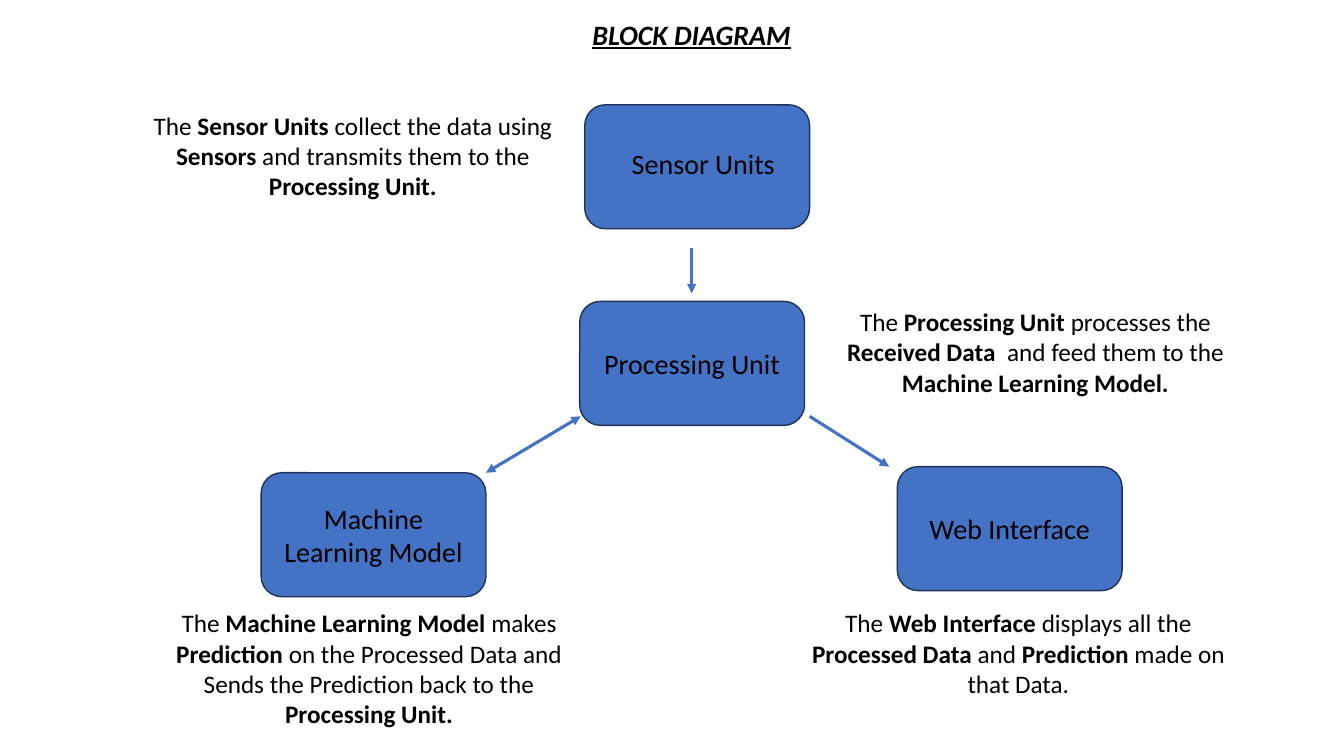
from dataclasses import dataclass

from lxml import etree
from pptx import Presentation
from pptx.dml.color import RGBColor
from pptx.enum.shapes import MSO_CONNECTOR, MSO_SHAPE
from pptx.enum.text import MSO_ANCHOR, MSO_AUTO_SIZE, PP_ALIGN
from pptx.oxml.ns import qn
from pptx.slide import Slide
from pptx.text.text import TextFrame
from pptx.util import Pt

ROUND = MSO_SHAPE.ROUNDED_RECTANGLE
STRAIGHT = MSO_CONNECTOR.STRAIGHT
CENTER = PP_ALIGN.CENTER
TOP, MIDDLE = MSO_ANCHOR.TOP, MSO_ANCHOR.MIDDLE
GROW = MSO_AUTO_SIZE.SHAPE_TO_FIT_TEXT

SCALE = 9144  # EMU per px, 100 px to the inch
FONT = "Calibri"
BLUE, NAVY, BLACK = "4472C4", "1E3256", "000000"
BOX_W, BOX_H = 223, 123
NOTE_W = 448


@dataclass
class Block:
    label: str
    left: int
    top: int
    right_by: int = 0  # label shift to the right
    up_by: int = 0  # label shift upwards


@dataclass
class Arrow:
    start: tuple[int, int]
    end: tuple[int, int]
    both: bool = False


@dataclass
class Note:
    text: str  # bold parts stand between asterisks
    left: int
    top: int
    height: int = 101


BLOCKS = [
    Block("Sensor Units", 580, 104, 6, 3),
    Block("Processing Unit", 575, 299),
    Block("Machine Learning Model", 259, 469),
    Block("Web Interface", 890, 463),
]
ARROWS = [
    Arrow((686, 246), (686, 291)),
    Arrow((482, 469), (576, 413), both=True),
    Arrow((803, 413), (882, 463)),
]
NOTES = [
    Note("The *Sensor Units *collect the data using *Sensors *and transmits "
         "them to the *Processing Unit.*", 126, 104),
    Note("The *Processing Unit *processes the *Received Data * and feed them "
         "to the *Machine Learning Model.*", 803, 299),
    Note("The *Web Interface *displays all the *Processed Data *and "
         "*Prediction *made on that Data.", 786, 598),
    Note("The *Machine Learning Model *makes *Prediction *on the Processed "
         "Data and Sends the Prediction back to the *Processing Unit.*",
         142, 598, 131),
]


def px(num: int) -> int:
    return num * SCALE


def color(code: str) -> RGBColor:
    return RGBColor.from_string(code)


def write(frame: TextFrame, text: str, size: int) -> None:
    """Write one centred paragraph, with bold parts between asterisks."""
    frame.word_wrap = True
    para = frame.paragraphs[0]
    para.alignment = CENTER
    para.font.name = FONT
    para.font.size = Pt(size)
    para.font.color.rgb = color(BLACK)
    for i, part in enumerate(text.split("*")):
        if part:
            run = para.add_run()
            run.text = part
            if i % 2:
                run.font.bold = True


def add_title(slide: Slide, text: str) -> None:
    title = slide.shapes.title
    title.left, title.top = px(161), px(12)
    title.width, title.height = px(1050), px(44)
    frame = title.text_frame
    write(frame, text, 20)
    frame.vertical_anchor = TOP
    frame.auto_size = GROW
    font = frame.paragraphs[0].font
    font.bold = font.italic = font.underline = True


def add_block(slide: Slide, block: Block) -> None:
    box = slide.shapes.add_shape(
        ROUND, px(block.left), px(block.top), px(BOX_W), px(BOX_H))
    box.shadow.inherit = False
    box.fill.solid()
    box.fill.fore_color.rgb = color(BLUE)
    box.line.color.rgb = color(NAVY)
    box.line.width = Pt(1)
    frame = box.text_frame
    frame.vertical_anchor = MIDDLE
    frame.margin_left = px(10 + 2 * block.right_by)
    frame.margin_bottom = px(5 + 2 * block.up_by)
    write(frame, block.label, 20)


def add_arrow(slide: Slide, arrow: Arrow) -> None:
    line = slide.shapes.add_connector(
        STRAIGHT, *map(px, arrow.start), *map(px, arrow.end))
    line.line.color.rgb = color(BLUE)
    line.line.width = Pt(2.25)
    ends = ["headEnd", "tailEnd"] if arrow.both else ["tailEnd"]
    stroke = line.line._get_or_add_ln()
    for end in ends:
        etree.SubElement(stroke, qn(f"a:{end}"), type="triangle")
    etree.SubElement(line._element.spPr, qn("a:effectLst"))


def add_note(slide: Slide, note: Note) -> None:
    box = slide.shapes.add_textbox(
        px(note.left), px(note.top), px(NOTE_W), px(note.height))
    write(box.text_frame, note.text, 18)
    box.text_frame.auto_size = GROW


def main() -> None:
    deck = Presentation()
    deck.slide_width, deck.slide_height = px(1333), px(750)
    slide = deck.slides.add_slide(deck.slide_layouts[5])
    add_title(slide, "BLOCK DIAGRAM")
    # Blocks and the flow between them
    for block in BLOCKS:
        add_block(slide, block)
    for arrow in ARROWS:
        add_arrow(slide, arrow)
    # What each block does
    for note in NOTES:
        add_note(slide, note)
    deck.save("out.pptx")


if __name__ == "__main__":
    main()
